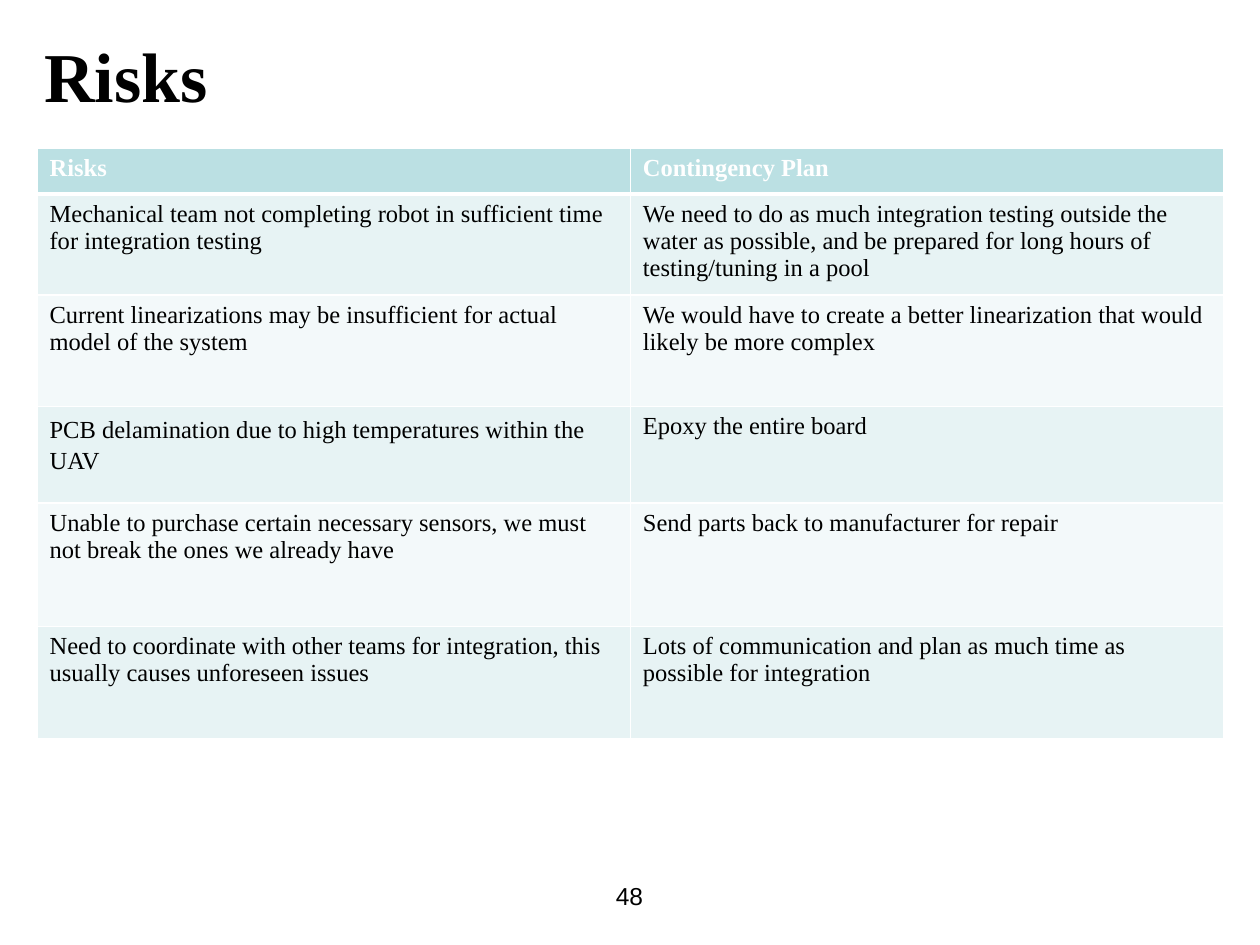
from dataclasses import dataclass

from lxml import etree
from pptx import Presentation
from pptx.dml.color import RGBColor
from pptx.enum.text import MSO_ANCHOR, PP_ALIGN
from pptx.oxml.ns import qn
from pptx.util import Cm, Pt

TOP = MSO_ANCHOR.TOP
LEFT, CENTER = PP_ALIGN.LEFT, PP_ALIGN.CENTER
TITLE_ONLY = 5


@dataclass(frozen=True)
class Theme:
    """Colours, fonts and type sizes of the slide."""
    ink: str = "000000"
    paper: str = "FFFFFF"
    header: str = "BBE0E3"
    bands: tuple = ("E7F3F4", "F3F9FA")
    serif: str = "Times New Roman"
    sans: str = "Arial"
    title_size: int = 40
    body_size: int = 14
    rule: int = 1
    header_rule: int = 3


THEME = Theme()
HEADER = ("Risks", "Contingency Plan")
RISKS = (
    ("Mechanical team not completing robot in sufficient time for integration testing",
     "We need to do as much integration testing outside the water as possible, "
     "and be prepared for long hours of testing/tuning in a pool"),
    ("Current linearizations may be insufficient for actual model of the system",
     "We would have to create a better linearization that would likely be more complex"),
    ("PCB delamination due to high temperatures within the UAV",
     "Epoxy the entire board"),
    ("Unable to purchase certain necessary sensors, we must not break the ones we already have",
     "Send parts back to manufacturer for repair"),
    ("Need to coordinate with other teams for integration, this usually causes unforeseen issues",
     "Lots of communication and plan as much time as possible for integration"),
)
ROW_HEIGHTS = (0.93, 1.45, 2.24, 1.95, 2.49, 2.26)
COLUMN_WIDTH = 11.96
LOOSE_CELL = (3, 0)
LOOSE_SPACING = 1.15


def add_run(p, text, size, font, color, bold=False):
    """Add one formatted run to a paragraph."""
    r = p.add_run()
    r.text = text
    r.font.size = Pt(size)
    r.font.name = font
    r.font.bold = bold
    r.font.color.rgb = RGBColor.from_string(color)


def set_insets(tf, x, y):
    """Set the horizontal and vertical insets of a text frame."""
    tf.margin_left = tf.margin_right = Cm(x)
    tf.margin_top = tf.margin_bottom = Cm(y)


def add_title(s, text):
    """Place and fill the title placeholder."""
    sp = s.shapes.title
    sp.left, sp.top, sp.width, sp.height = Cm(0.64), Cm(0.41), Cm(21.59), Cm(3.78)
    tf = sp.text_frame
    tf.vertical_anchor = TOP
    set_insets(tf, 0.25, 0.25)
    p = tf.paragraphs[0]
    p.alignment = LEFT
    add_run(p, text, THEME.title_size, THEME.serif, THEME.ink, True)


def add_page_number(s, number):
    """Add the centred page number at the foot."""
    sp = s.shapes.add_textbox(Cm(9.73), Cm(17.63), Cm(5.92), Cm(1.32))
    tf = sp.text_frame
    tf.word_wrap = True
    set_insets(tf, 0.25, 0.13)
    p = tf.paragraphs[0]
    p.alignment = CENTER
    add_run(p, number, THEME.body_size, THEME.sans, THEME.ink)


def set_borders(cell, top, bottom):
    """Draw the four borders of a cell, with own widths above and below."""
    tc_pr = cell._tc.get_or_add_tcPr()
    widths = {"a:lnL": THEME.rule, "a:lnR": THEME.rule, "a:lnT": top, "a:lnB": bottom}
    for tag, width in widths.items():
        ln = etree.SubElement(tc_pr, qn(tag), w=str(Pt(width)))
        fill = etree.SubElement(ln, qn("a:solidFill"))
        etree.SubElement(fill, qn("a:srgbClr"), val=THEME.paper)


def fill_cell(cell, text, row):
    """Format one cell by its row: header, or one of two bands."""
    is_header = row == 0
    set_borders(cell,
                THEME.header_rule if row == 1 else THEME.rule,
                THEME.header_rule if is_header else THEME.rule)
    color = THEME.header if is_header else THEME.bands[(row - 1) % 2]
    cell.fill.solid()
    cell.fill.fore_color.rgb = RGBColor.from_string(color)
    set_insets(cell, 0.25, 0.13)
    add_run(cell.text_frame.paragraphs[0], text, THEME.body_size, THEME.serif,
            THEME.paper if is_header else THEME.ink, is_header)


def add_risk_table(s):
    """Add the table of risks and contingency plans."""
    rows = (HEADER, *RISKS)
    frame = s.shapes.add_table(len(rows), len(HEADER), Cm(0.75), Cm(2.98),
                               Cm(COLUMN_WIDTH * len(HEADER)), Cm(sum(ROW_HEIGHTS)))
    table = frame.table
    for column in table.columns:
        column.width = Cm(COLUMN_WIDTH)
    for i, (texts, height) in enumerate(zip(rows, ROW_HEIGHTS)):
        table.rows[i].height = Cm(height)
        for j, text in enumerate(texts):
            fill_cell(table.cell(i, j), text, i)
    table.cell(*LOOSE_CELL).text_frame.paragraphs[0].line_spacing = LOOSE_SPACING


def main():
    """Build and save the slide."""
    prs = Presentation()
    prs.slide_width, prs.slide_height = Cm(25.4), Cm(19.05)
    s = prs.slides.add_slide(prs.slide_layouts[TITLE_ONLY])
    add_title(s, "Risks")
    add_page_number(s, "48")
    add_risk_table(s)
    prs.save("out.pptx")


if __name__ == "__main__":
    main()
